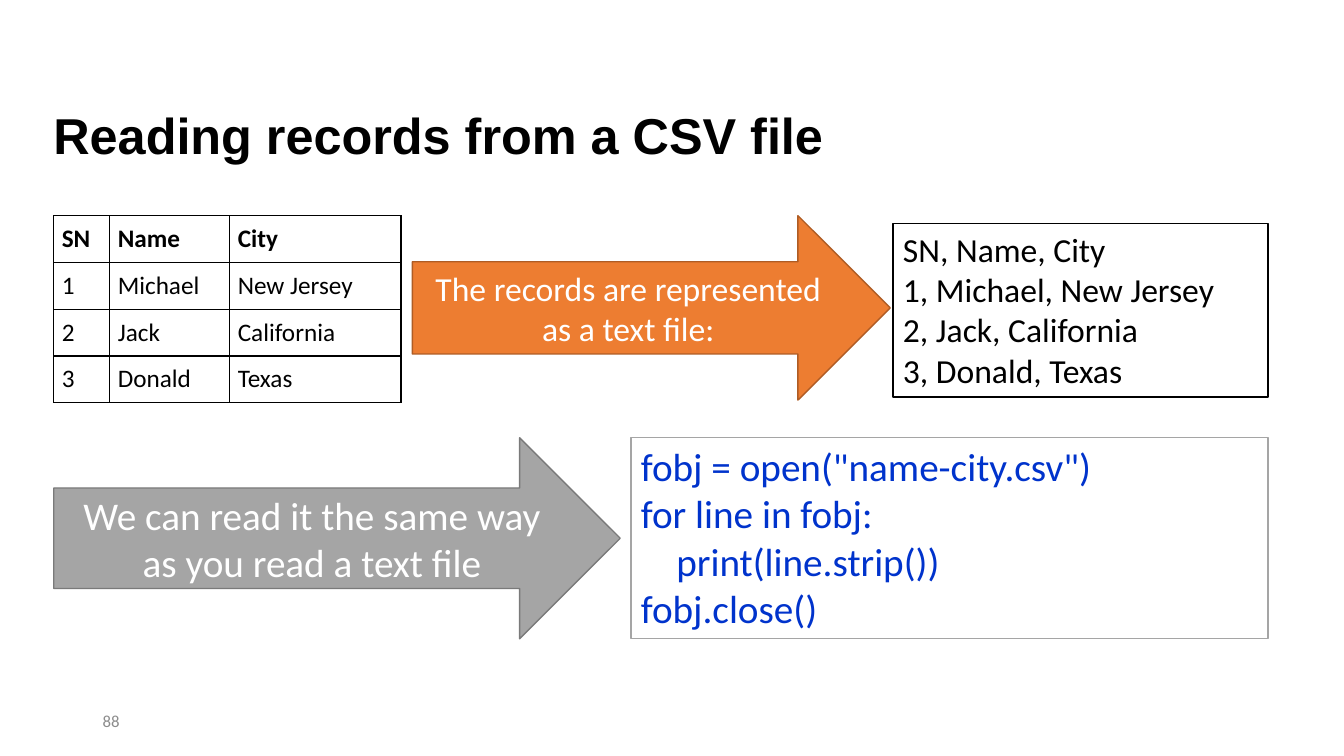
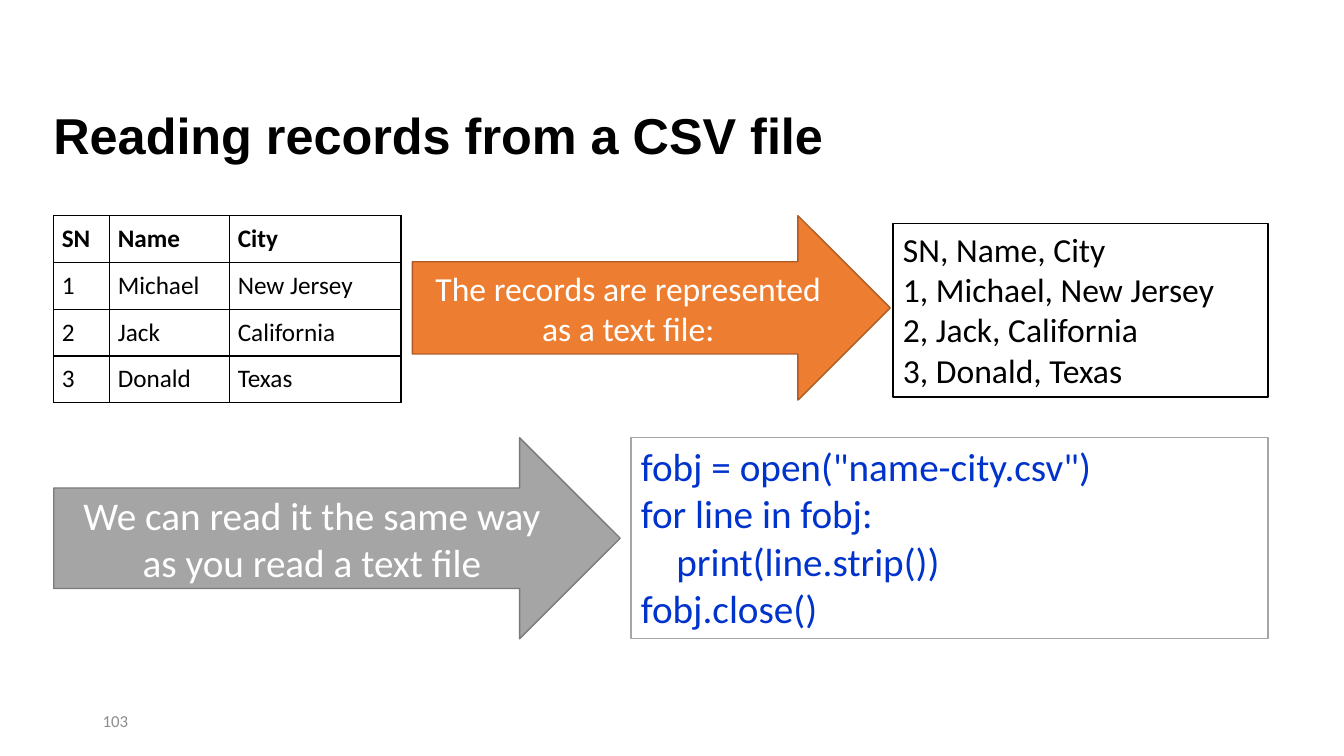
from lxml.etree import SubElement
from pptx import Presentation
from pptx.dml.color import RGBColor
from pptx.enum.shapes import MSO_SHAPE as Preset
from pptx.enum.text import MSO_ANCHOR as Anchor, PP_ALIGN as Align
from pptx.oxml.ns import qn
from pptx.util import Inches, Pt

SLIDE_WIDTH, SLIDE_HEIGHT = Inches(13.33), Inches(7.5)
LEFT, RIGHT = 4, 94.35
TOP_ROW, LOWER_ROW = 28.53, 57.9
BLACK, WHITE, GRAY = "000000", "FFFFFF", "A5A5A5"
ORANGE, BLUE, FOOTER_GRAY = "ED7D31", "0033CC", "8C8C8C"

TITLE = "Reading records from a CSV file"
RECORDS = [
    ["SN", "Name", "City"],
    ["1", "Michael", "New Jersey"],
    ["2", "Jack", "California"],
    ["3", "Donald", "Texas"],
]
COLUMN_SHARES = [4.17, 8.93, 12.75]
TABLE_HEIGHT = 24.75
CODE = [
    'fobj = open("name-city.csv")',
    "for line in fobj:",
    "    print(line.strip())",
    "fobj.close()",
]


def color(code):
    return RGBColor.from_string(code)


def across(share):
    return round(SLIDE_WIDTH * share / 100)


def down(share):
    return round(SLIDE_HEIGHT * share / 100)


def place(left, top, width, height):
    return across(left), down(top), across(width), down(height)


def write(frame, lines, size, ink, font="Calibri", bold=False, align=Align.LEFT):
    frame.word_wrap = True
    frame.text = "\n".join(lines)
    for para in frame.paragraphs:
        para.alignment = align
        for span in para.runs:
            span.font.name = font
            span.font.size = Pt(size)
            span.font.bold = bold
            span.font.color.rgb = color(ink)


def add_label(page, area, text, size, ink, **style):
    frame = page.shapes.add_textbox(*place(*area)).text_frame
    frame.vertical_anchor = Anchor.MIDDLE
    write(frame, [text], size, ink, **style)
    return frame


def add_block(page, preset, area, fill, line):
    block = page.shapes.add_shape(preset, *place(*area))
    block.shadow.inherit = False
    block.fill.solid()
    block.fill.fore_color.rgb = color(fill)
    block.line.color.rgb = color(line)
    block.line.width = Pt(1)
    return block.text_frame


def add_arrow(page, area, text, size, fill, line):
    frame = add_block(page, Preset.RIGHT_ARROW, area, fill, line)
    frame.vertical_anchor = Anchor.MIDDLE
    write(frame, [text], size, WHITE, align=Align.CENTER)


def add_listing(page, left, top, height, lines, size, ink, line):
    area = (left, top, RIGHT - left, height)
    frame = add_block(page, Preset.RECTANGLE, area, WHITE, line)
    frame.vertical_anchor = Anchor.TOP
    write(frame, lines, size, ink)


def add_borders(cell):
    properties = cell._tc.get_or_add_tcPr()
    for side in ("a:lnL", "a:lnR", "a:lnT", "a:lnB"):
        border = SubElement(properties, qn(side), w=str(Pt(1)))
        fill = SubElement(border, qn("a:solidFill"))
        SubElement(fill, qn("a:srgbClr"), val=BLACK)


def add_records_table(page):
    area = place(LEFT, TOP_ROW, sum(COLUMN_SHARES), TABLE_HEIGHT)
    table = page.shapes.add_table(len(RECORDS), len(COLUMN_SHARES), *area).table
    table.first_row = table.horz_banding = False
    for column, share in zip(table.columns, COLUMN_SHARES):
        column.width = across(share)
    for row_index, record in enumerate(RECORDS):
        table.rows[row_index].height = down(TABLE_HEIGHT / len(RECORDS))
        for column_index, value in enumerate(record):
            cell = table.cell(row_index, column_index)
            cell.margin_left = cell.margin_right = Inches(0.08)
            cell.margin_top = cell.margin_bottom = Inches(0.07)
            cell.vertical_anchor = Anchor.MIDDLE
            add_borders(cell)
            cell.fill.background()
            write(cell.text_frame, [value], 18, BLACK, bold=row_index == 0)


def add_frame(page, number):
    title = add_label(page, (3.23, 13.07, 90.4, 10.53), TITLE, 36, BLACK,
                      font="Arial", bold=True)
    title.paragraphs[0].line_spacing = 0.9
    add_label(page, (6.9, 92.67, 22.5, 5.33), str(number), 12, FOOTER_GRAY)


def add_csv_page(deck, number):
    page = deck.slides.add_slide(deck.slide_layouts[6])
    add_frame(page, number)
    add_records_table(page)
    add_arrow(page, (30.68, TOP_ROW, 35.55, 24.4),
              "The records are represented as a text file:", 24, ORANGE, "AF5C24")
    add_listing(page, 66.45, 29.6, 22.93,
                [", ".join(record) for record in RECORDS], 24, BLACK, BLACK)
    add_listing(page, 46.95, LOWER_ROW, 26.6, CODE, 28, BLUE, GRAY)
    add_arrow(page, (LEFT, LOWER_ROW, 42.15, 26.6),
              "We can read it the same way as you read a text file", 28, GRAY, "7A7A7A")


def main():
    deck = Presentation()
    deck.slide_width, deck.slide_height = SLIDE_WIDTH, SLIDE_HEIGHT
    for number in (88, 103):
        add_csv_page(deck, number)
    deck.save("out.pptx")


if __name__ == "__main__":
    main()
